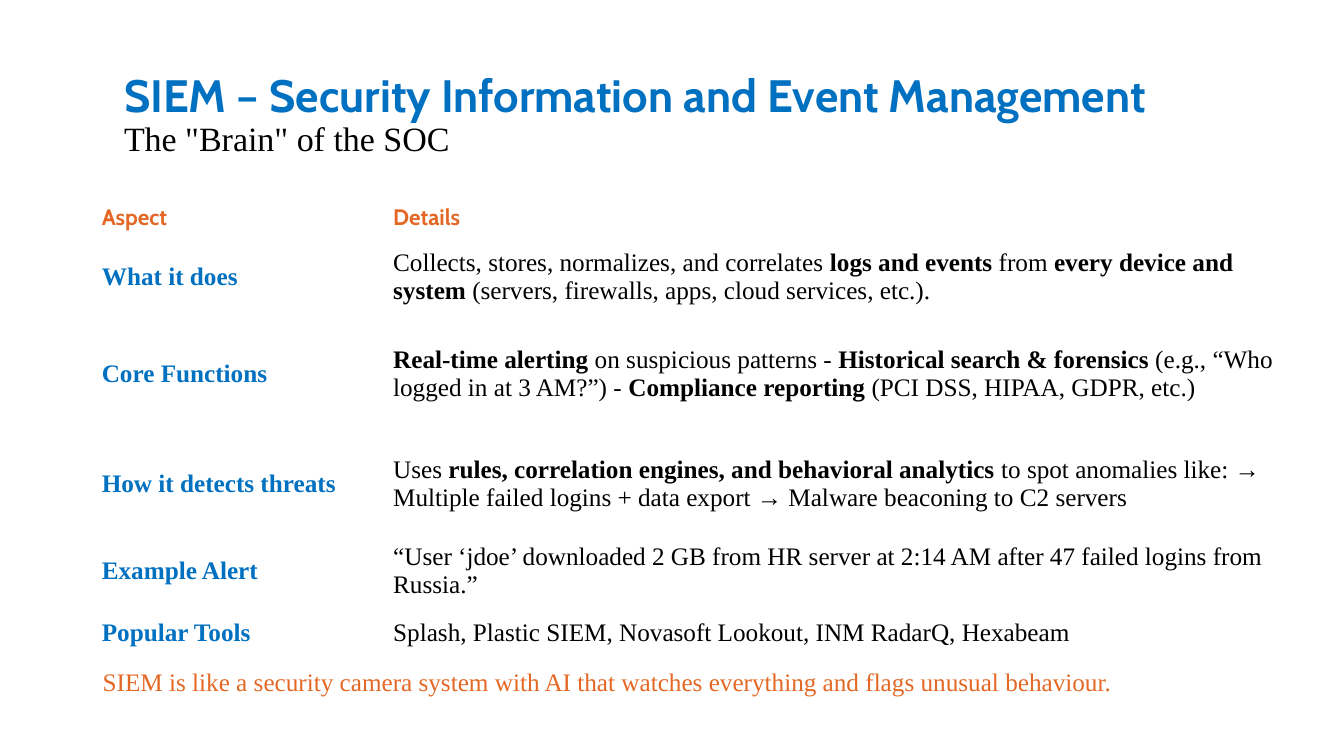
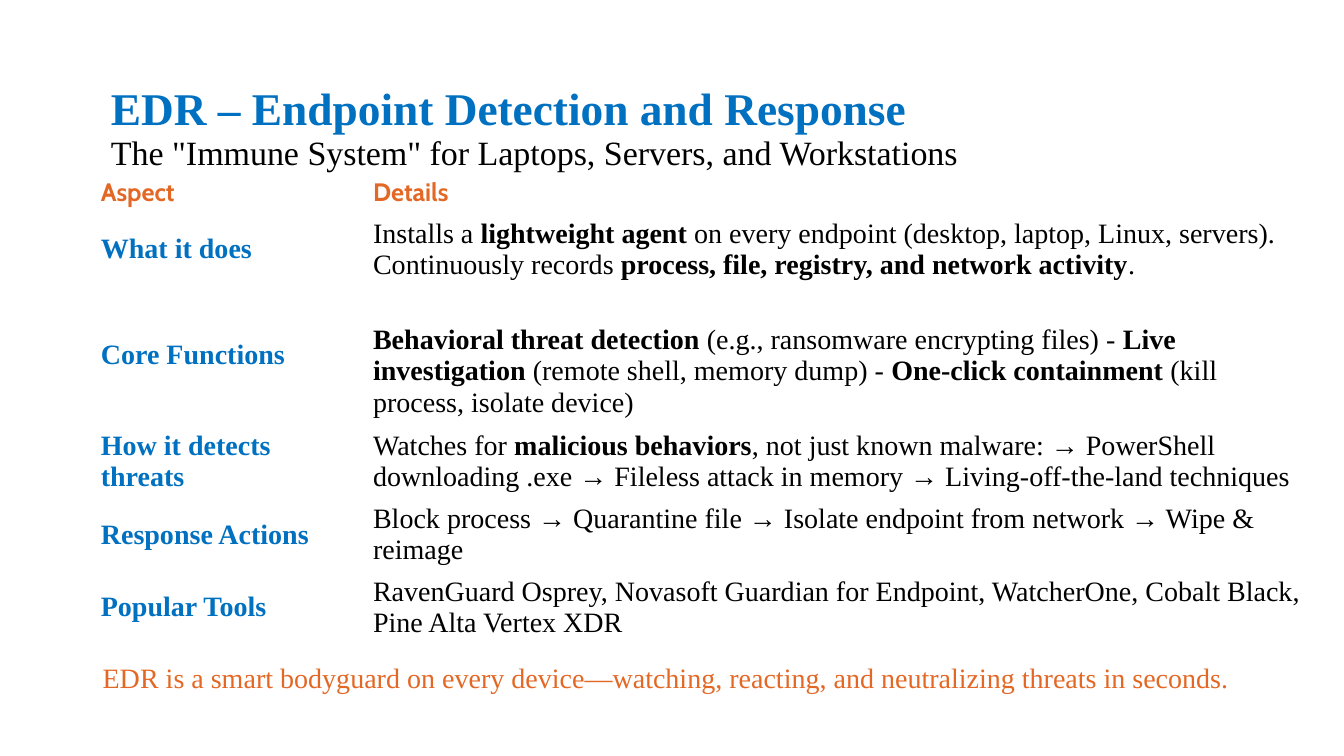
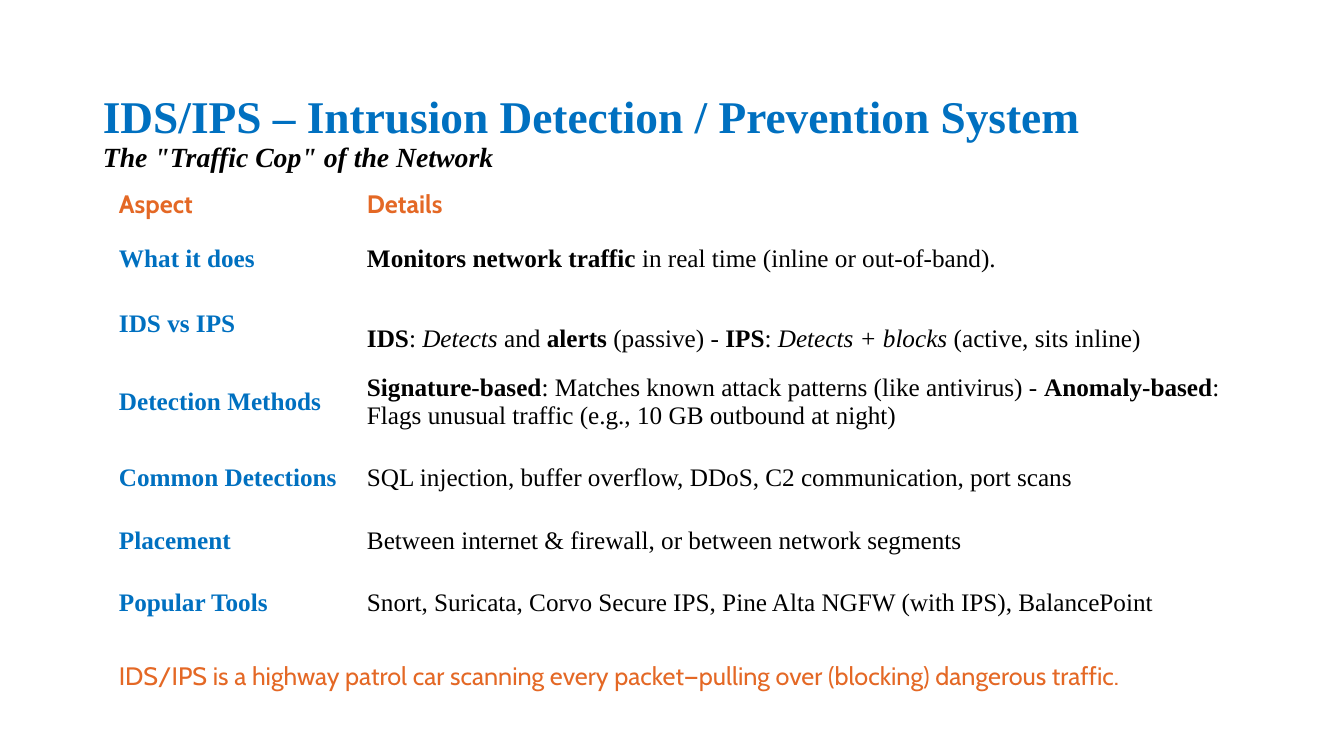
from pptx import Presentation
from pptx.dml.color import RGBColor
from pptx.enum.text import MSO_ANCHOR, MSO_AUTO_SIZE, PP_ALIGN
from pptx.util import Inches, Pt

TOP, MIDDLE = MSO_ANCHOR.TOP, MSO_ANCHOR.MIDDLE
LEFT, FIXED = PP_ALIGN.LEFT, MSO_AUTO_SIZE.NONE

# Shared look
COLORS = {"blue": "0070C0", "orange": "E46825", "black": "000000"}
SANS, SERIF = "Cabin", "Times New Roman"
HEAD = {"name": SANS, "bold": True, "color": "orange"}
LABEL = {"name": SERIF, "bold": True, "color": "blue"}
BODY = {"name": SERIF, "bold": False, "color": "black"}
NOTE = {"bold": False, "color": "orange"}

# Slide content: *bold* and _italic_ mark the runs
SLIDES = [
    {
        "title": "SIEM – Security Information and Event Management",
        "face": SANS,
        "sub": 'The "Brain" of the SOC',
        "style": {"size": 24.3},
        "spot": (1.13, 0.68),
        "table": (0.92, 1.98), "cols": (2.89, 8.92), "pad": (0.09, 0.04),
        "heights": (0.34, 0.84, 1.09, 1.09, 0.59, 0.59),
        "sizes": (16, 18), "drop": {},
        "rows": [
            ("What it does", "Collects, stores, normalizes, and correlates *logs and events* from "
             "*every device and system* (servers, firewalls, apps, cloud services, etc.)."),
            ("Core Functions", "*Real-time alerting* on suspicious patterns - *Historical search & "
             "forensics* (e.g., “Who logged in at 3 AM?”) - *Compliance reporting* "
             "(PCI DSS, HIPAA, GDPR, etc.)"),
            ("How it detects threats", "Uses *rules, correlation engines, and behavioral analytics* "
             "to spot anomalies like: → Multiple failed logins + data export → "
             "Malware beaconing to C2 servers"),
            ("Example Alert", "“User ‘jdoe’ downloaded 2 GB from HR server at 2:14 AM after "
             "47 failed logins from Russia.”"),
            ("Popular Tools", "Splash, Plastic SIEM, Novasoft Lookout, INM RadarQ, Hexabeam"),
        ],
        "note": "SIEM is like a security camera system with AI that watches everything "
                "and flags unusual behaviour.",
        "foot": (6.56, SERIF),
    },
    {
        "title": "EDR – Endpoint Detection and Response",
        "face": SERIF,
        "sub": 'The "Immune System" for Laptops, Servers, and Workstations',
        "style": {"size": 24.3},
        "spot": (1, 0.81),
        "table": (0.92, 1.72), "cols": (2.7, 9.42), "pad": (0.08, 0.04),
        "heights": (0.37, 0.74, 1.36, 0.74, 0.72, 0.72),
        "sizes": (18, 20), "drop": {2: 0.32},
        "rows": [
            ("What it does", "Installs a *lightweight agent* on every endpoint (desktop, laptop, "
             "Linux, servers). Continuously records *process, file, registry, and network "
             "activity*."),
            ("Core Functions", "*Behavioral threat detection* (e.g., ransomware encrypting files) - "
             "*Live investigation* (remote shell, memory dump) - *One-click containment* "
             "(kill process, isolate device)"),
            ("How it detects threats", "Watches for *malicious behaviors*, not just known malware: "
             "→ PowerShell downloading .exe → Fileless attack in memory → "
             "Living-off-the-land techniques"),
            ("Response Actions", "Block process → Quarantine file → Isolate endpoint from network "
             "→ Wipe & reimage"),
            ("Popular Tools", "RavenGuard Osprey, Novasoft Guardian for Endpoint, WatcherOne, "
             "Cobalt Black, Pine Alta Vertex XDR"),
        ],
        "note": "EDR is a smart bodyguard on every device—watching, reacting, and "
                "neutralizing threats in seconds.",
        "foot": (6.5, SERIF),
    },
    {
        "title": "IDS/IPS – Intrusion Detection / Prevention System",
        "face": SERIF,
        "sub": 'The "Traffic Cop" of the Network',
        "style": {"size": 19.8, "bold": True, "italic": True},
        "spot": (0.92, 0.89),
        "table": (1.08, 1.8), "cols": (2.46, 8.71), "pad": (0.1, 0.05),
        "heights": (0.46, 0.62, 0.62, 0.89, 0.62, 0.62, 0.62),
        "sizes": (18, 18), "drop": {2: 0.29},
        "rows": [
            ("What it does", "*Monitors network traffic* in real time (inline or out-of-band)."),
            ("IDS vs IPS", "*IDS*: _Detects_ and *alerts* (passive) - *IPS*: _Detects + blocks_ "
             "(active, sits inline)"),
            ("Detection Methods", "*Signature-based*: Matches known attack patterns (like "
             "antivirus) - *Anomaly-based*: Flags unusual traffic (e.g., 10 GB outbound at night)"),
            ("Common Detections", "SQL injection, buffer overflow, DDoS, C2 communication, "
             "port scans"),
            ("Placement", "Between internet & firewall, or between network segments"),
            ("Popular Tools", "Snort, Suricata, Corvo Secure IPS, Pine Alta NGFW (with IPS), "
             "BalancePoint"),
        ],
        "note": "IDS/IPS is a highway patrol car scanning every packet—pulling over "
                "(blocking) dangerous traffic.",
        "foot": (6.5, SANS),
    },
]


def style(font, look):
    for key, value in look.items():
        if key == "color":
            font.color.rgb = RGBColor.from_string(COLORS[value])
        else:
            setattr(font, key, Pt(value) if key == "size" else value)


def write(para, text, look):
    """Add text as runs, turning *bold* and _italic_ marks into formats."""
    for i, chunk in enumerate(text.split("*")):
        for j, piece in enumerate(chunk.split("_")):
            if piece:
                run = para.add_run()
                run.text = piece
                style(run.font, look)
                if i % 2:
                    run.font.bold = True
                if j % 2:
                    run.font.italic = True


deck = Presentation()
deck.slide_width, deck.slide_height = Inches(13.33), Inches(7.5)

for data in SLIDES:
    slide = deck.slides.add_slide(deck.slide_layouts[5])

    # Title and subtitle
    title = slide.shapes.title
    title.left, title.top = [Inches(v) for v in data["spot"]]
    title.width, title.height = Inches(11.5), Inches(0.95)
    frame = title.text_frame
    frame.auto_size, frame.vertical_anchor = FIXED, TOP
    lines = [
        (data["title"], {**LABEL, "name": data["face"], "size": 32.4}),
        (data["sub"], {**BODY, **data["style"]}),
    ]
    for n, (text, look) in enumerate(lines):
        para = frame.add_paragraph() if n else frame.paragraphs[0]
        para.alignment, para.line_spacing = LEFT, 0.9
        para.space_before = Pt(0)
        write(para, text, look)

    # Table
    rows = [("Aspect", "Details")] + data["rows"]
    left, top = data["table"]
    grid = slide.shapes.add_table(
        len(rows), 2, Inches(left), Inches(top),
        Inches(sum(data["cols"])), Inches(sum(data["heights"]))).table
    grid.first_row = grid.horz_banding = False
    for col, width in zip(grid.columns, data["cols"]):
        col.width = Inches(width)
    side, edge = data["pad"]
    small, large = data["sizes"]
    for r, texts in enumerate(rows):
        grid.rows[r].height = Inches(data["heights"][r])
        for c, text in enumerate(texts):
            cell = grid.cell(r, c)
            cell.fill.background()
            cell.vertical_anchor = MIDDLE
            cell.margin_left = cell.margin_right = Inches(side)
            cell.margin_bottom = Inches(edge)
            cell.margin_top = Inches(edge + (data["drop"].get(r, 0) if c else 0))
            look = (LABEL, BODY)[c] if r else HEAD
            write(cell.text_frame.paragraphs[0], text,
                  {**look, "size": large if r else small})

    # Closing line
    low, face = data["foot"]
    box = slide.shapes.add_textbox(Inches(left), Inches(low), Inches(12), Inches(0.7))
    box.text_frame.word_wrap = True
    write(box.text_frame.paragraphs[0], data["note"],
          {**NOTE, "name": face, "size": large})

deck.save("out.pptx")
